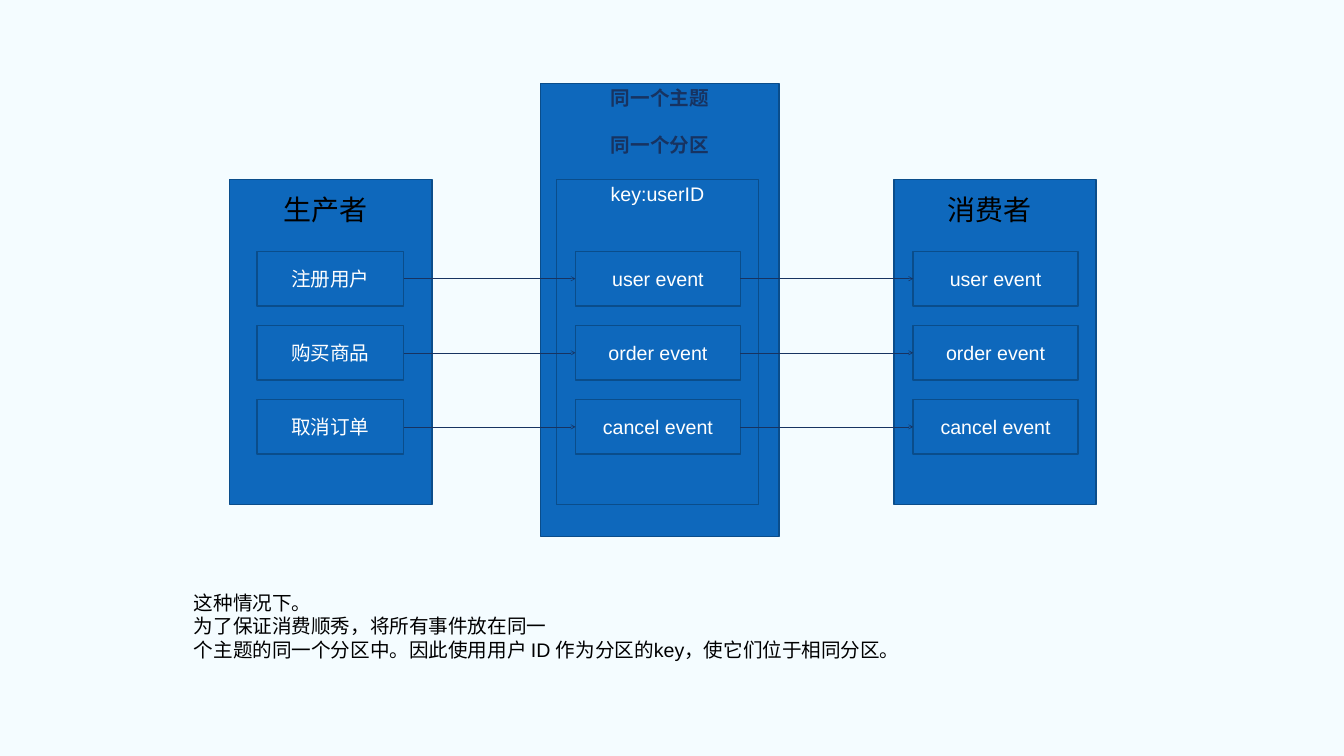
from dataclasses import dataclass

import pptx
import pptx.dml.color
import pptx.enum.shapes
import pptx.enum.text
import pptx.oxml
import pptx.oxml.ns
import pptx.util
from lxml import etree

SHAPE = pptx.enum.shapes.MSO_SHAPE
ANCHOR = pptx.enum.text.MSO_ANCHOR
ALIGN = pptx.enum.text.PP_ALIGN


@dataclass(frozen=True)
class Theme:
    background: str = "F4FCFF"
    fill: str = "0E68BC"
    border: str = "0A4D8B"
    accent: str = "173361"
    dark: str = "000000"
    light: str = "FFFFFF"
    latin: str = "Arial"
    chinese: str = "Noto Sans CJK SC"
    body: int = 28
    heading: int = 40
    border_width: float = 2
    arrow_width: float = 0.75


THEME = Theme()
PAGE_WIDTH, PAGE_HEIGHT = 26.67, 15
PANEL_TOP, PANEL_WIDTH, PANEL_HEIGHT = 3.56, 4.01, 6.45
PRODUCER_LEFT, KEY_LEFT, CONSUMER_LEFT = 4.56, 11.04, 17.74
ROW_TOP, ROW_PITCH, ROW_HEIGHT = 4.99, 1.47, 1.08
ACTION_INSET, ACTION_WIDTH = 0.54, 2.91
EVENT_INSET, EVENT_WIDTH = 0.38, 3.27
ACTIONS = ["注册用户", "购买商品", "取消订单"]
EVENTS = ["user event", "order event", "cancel event"]
EXPLANATION = [
    "这种情况下。",
    "为了保证消费顺秀，将所有事件放在同一",
    "个主题的同一个分区中。因此使用用户 ID 作为分区的key，使它们位于相同分区。",
]


def color(value):
    return pptx.dml.color.RGBColor.from_string(value)


def inches(*lengths):
    return [pptx.util.Inches(length) for length in lengths]


def write(frame, lines, ink, size=THEME.body, face=THEME.latin,
          align=ALIGN.LEFT, bold=False, gap=0):
    for index, line in enumerate(lines):
        para = frame.paragraphs[0] if index == 0 else frame.add_paragraph()
        para.alignment = align
        if index and gap:
            para.space_before = pptx.util.Pt(gap)
        span = para.add_run()
        span.text = line
        span.font.name = face
        span.font.size = pptx.util.Pt(size)
        span.font.bold = bold
        span.font.color.rgb = color(ink)
        east_asian = etree.SubElement(span.font._element, pptx.oxml.ns.qn("a:ea"))
        east_asian.set("typeface", THEME.chinese)


def add_box(page, left, top, width, height, lines=(), anchor=ANCHOR.MIDDLE,
            ink=THEME.light, **style):
    box = page.shapes.add_shape(SHAPE.RECTANGLE, *inches(left, top, width, height))
    box.shadow.inherit = False
    box.fill.solid()
    box.fill.fore_color.rgb = color(THEME.fill)
    box.line.color.rgb = color(THEME.border)
    box.line.width = pptx.util.Pt(THEME.border_width)
    box.text_frame.vertical_anchor = anchor
    write(box.text_frame, lines, ink, align=ALIGN.CENTER, **style)


def add_label(page, left, top, width, height, lines, wrap=True, **style):
    box = page.shapes.add_textbox(*inches(left, top, width, height))
    box.text_frame.word_wrap = wrap
    write(box.text_frame, lines, THEME.dark, **style)


def add_panel(page, left, heading):
    add_box(page, left, PANEL_TOP, PANEL_WIDTH, PANEL_HEIGHT)
    add_label(page, left + 0.97, PANEL_TOP + 0.21, 1.87, 0.77, [heading],
              wrap=False, size=THEME.heading, face=THEME.chinese)


def add_rows(page, left, width, labels):
    for row, label in enumerate(labels):
        add_box(page, left, ROW_TOP + row * ROW_PITCH, width, ROW_HEIGHT, [label])


def add_arrows(page, start, end):
    for row in range(len(EVENTS)):
        middle = ROW_TOP + row * ROW_PITCH + ROW_HEIGHT / 2
        arrow = page.shapes.add_connector(
            pptx.enum.shapes.MSO_CONNECTOR.STRAIGHT,
            *inches(start, middle, end, middle))
        arrow.line.color.rgb = color(THEME.accent)
        arrow.line.width = pptx.util.Pt(THEME.arrow_width)
        head = etree.SubElement(arrow.line._get_or_add_ln(),
                                pptx.oxml.ns.qn("a:tailEnd"))
        head.set("type", "arrow")
        etree.SubElement(arrow._element.spPr, pptx.oxml.ns.qn("a:effectLst"))


def main():
    deck = pptx.Presentation()
    deck.slide_width, deck.slide_height = inches(PAGE_WIDTH, PAGE_HEIGHT)
    page = deck.slides.add_slide(deck.slide_layouts.get_by_name("Blank"))
    page.background.fill.solid()
    page.background.fill.fore_color.rgb = color(THEME.background)

    action_left = PRODUCER_LEFT + ACTION_INSET
    event_left = KEY_LEFT + EVENT_INSET
    received_left = CONSUMER_LEFT + EVENT_INSET

    add_panel(page, PRODUCER_LEFT, "生产者")
    add_rows(page, action_left, ACTION_WIDTH, ACTIONS)
    add_box(page, 10.73, 1.66, 4.73, 8.98, ["同一个主题", "同一个分区"],
            anchor=ANCHOR.TOP, ink=THEME.accent, face=THEME.chinese,
            bold=True, gap=33.5)
    add_box(page, KEY_LEFT, PANEL_TOP, PANEL_WIDTH, PANEL_HEIGHT,
            ["key:userID"], anchor=ANCHOR.TOP)
    add_rows(page, event_left, EVENT_WIDTH, EVENTS)
    add_arrows(page, action_left + ACTION_WIDTH, event_left)
    add_panel(page, CONSUMER_LEFT, "消费者")
    add_rows(page, received_left, EVENT_WIDTH, EVENTS)
    add_arrows(page, event_left + EVENT_WIDTH, received_left)
    add_label(page, 3.75, 11.67, 19.98, 2, EXPLANATION)

    deck.save("out.pptx")


if __name__ == "__main__":
    main()
